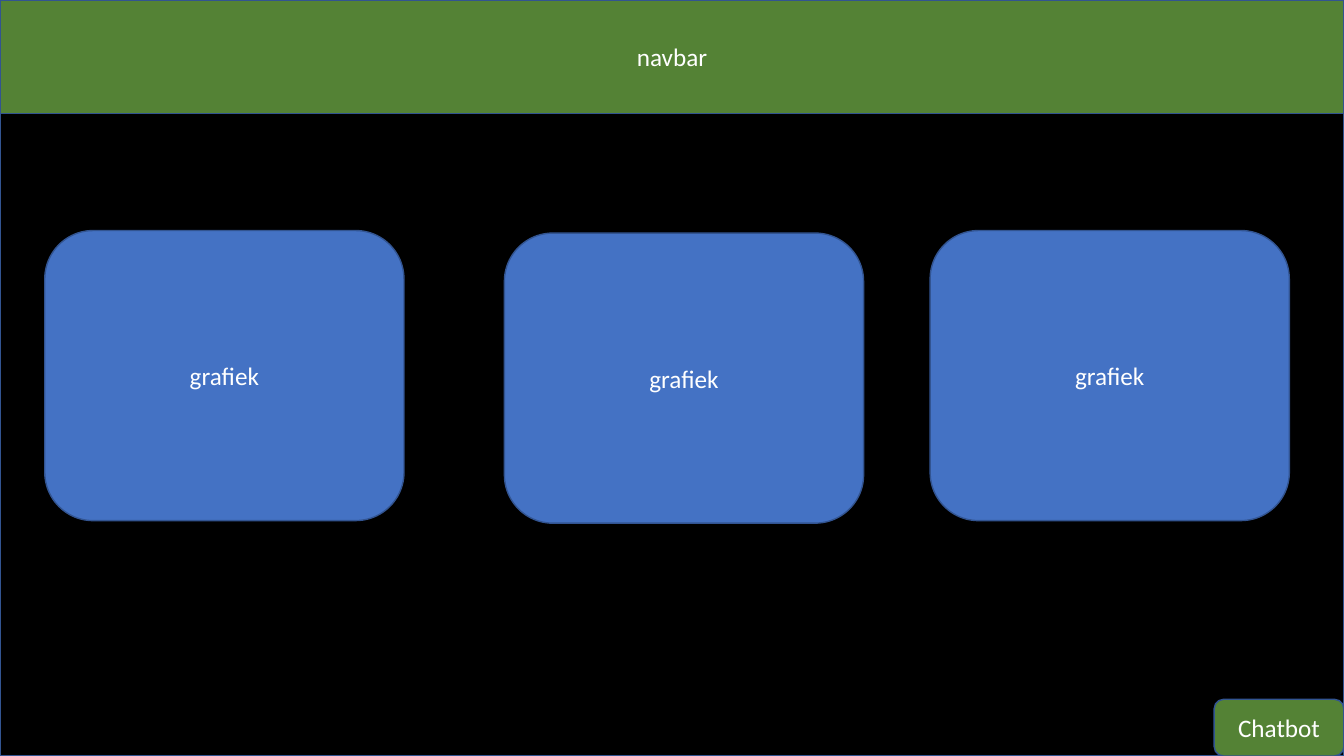
from pptx import Presentation
from pptx.dml.color import RGBColor
from pptx.enum.shapes import MSO_SHAPE
from pptx.enum.text import MSO_ANCHOR, PP_ALIGN
from pptx.util import Pt

WIDTH, HEIGHT = 960, 540
BLACK, GREEN, BLUE = "000000", "548235", "4472C4"
OUTLINE, WHITE = "325491", "FFFFFF"


def color(value):
    return RGBColor.from_string(value)


def add_block(s, kind, left, top, width, height, fill, text=""):
    sp = s.shapes.add_shape(kind, Pt(left), Pt(top), Pt(width), Pt(height))
    sp.shadow.inherit = False
    sp.fill.solid()
    sp.fill.fore_color.rgb = color(fill)
    sp.line.color.rgb = color(OUTLINE)
    sp.line.width = Pt(1)
    if text:
        add_label(sp, text)


def add_label(sp, text):
    tf = sp.text_frame
    tf.text = text
    tf.vertical_anchor = MSO_ANCHOR.MIDDLE
    p = tf.paragraphs[0]
    p.alignment = PP_ALIGN.CENTER
    font = p.runs[0].font
    font.name = "Calibri"
    font.size = Pt(18)
    font.color.rgb = color(WHITE)


def main():
    prs = Presentation()
    prs.slide_width, prs.slide_height = Pt(WIDTH), Pt(HEIGHT)
    s = prs.slides.add_slide(prs.slide_layouts[6])
    rect, rounded = MSO_SHAPE.RECTANGLE, MSO_SHAPE.ROUNDED_RECTANGLE

    add_block(s, rect, 0, 0, WIDTH, HEIGHT, BLACK)
    add_block(s, rect, 0, 0, WIDTH, 81, GREEN, "navbar")
    for left, top in ((32, 164.7), (664.4, 164.7), (360.3, 166.5)):
        add_block(s, rounded, left, top, 256.6, 207.2, BLUE, "grafiek")
    add_block(s, rounded, 867.3, 499.5, 92.7, 40.5, GREEN, "Chatbot")

    prs.save("out.pptx")


main()
